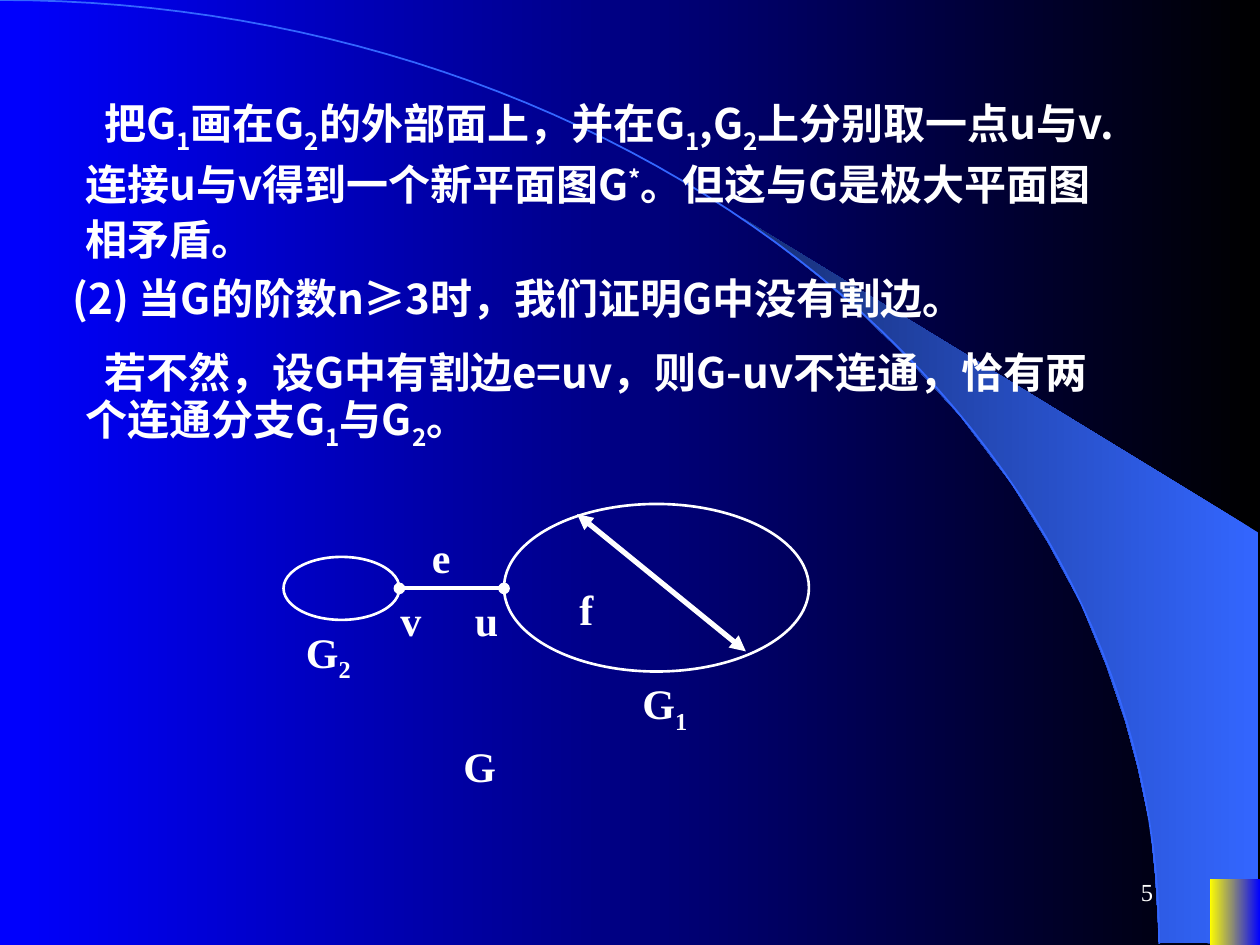
import math
from lxml import etree
from pptx import Presentation
from pptx.dml.color import RGBColor
from pptx.enum import shapes, text
from pptx.oxml.ns import qn
from pptx.util import Inches, Pt

WHITE = RGBColor(0xFF, 0xFF, 0xFF)
BLACK = RGBColor(0, 0, 0)
BLUE = RGBColor(0, 0, 0xFF)
YELLOW = RGBColor(0xFF, 0xFF, 0)
SKY = RGBColor(0x33, 0x66, 0xFF)
NAVY = RGBColor(0x17, 0x2F, 0x75)
BODY_FONT, LABEL_FONT = "Noto Sans CJK SC", "Times New Roman"
SUB, SUPER = -25000, 30000

# Content: each text is a list of (words, baseline shift)
PROOF = [  # left, top, height, runs
    (0.58, 0.75, 1.36, [
        ("把G", 0), ("1", SUB), ("画在G", 0), ("2", SUB),
        ("的外部面上，并在G", 0), ("1", SUB), (",G", 0), ("2", SUB),
        ("上分别取一点u与v.连接u与v得到一个新平面图G", 0), ("*", SUPER),
        ("。但这与G是极大平面图相矛盾。", 0)]),
    (0.33, 2.08, 0.5, [("(2) 当G的阶数n≥3时，我们证明G中没有割边。", 0)]),
    (0.58, 2.67, 0.96, [
        ("若不然，设G中有割边e=uv，则G-uv不连通，恰有两个连通分支G", 0),
        ("1", SUB), ("与G", 0), ("2", SUB), ("。", 0)]),
]
COMPONENTS = [(2.25, 4.42, 0.92, 0.5), (4, 4, 2.42, 1.33)]
EDGES = [  # from, to, width, end mark
    ((3.17, 4.67), (4, 4.67), 2.25, "oval"),
    ((4.58, 4.08), (5.92, 5.17), 3, "triangle"),
]
LABELS = [  # left, top, width, runs
    (3.67, 4.67, 0.52, [("u", 0)]),
    (3.08, 4.67, 0.52, [("v", 0)]),
    (3.33, 4.17, 0.52, [("e", 0)]),
    (4.5, 4.58, 0.52, [("f", 0)]),
    (5, 5.33, 0.67, [("G", 0), ("1", SUB)]),
    (2.33, 4.92, 0.67, [("G", 0), ("2", SUB)]),
    (3.58, 5.83, 0.67, [("G", 0)]),
]
CRESCENT = [
    (9.2, 7.48), (9.99, 7.49), (9.99, 4.23), (5.89, 1.73), (6.24, 1.99),
    (6.53, 2.22), (6.85, 2.5), (7.16, 2.8), (7.62, 3.3), (8.03, 3.84),
    (8.32, 4.31), (8.58, 4.79), (8.78, 5.28), (8.93, 5.72), (9.03, 6.09),
    (9.13, 6.56), (9.17, 6.96)]
ARC_WIDTH, ARC_HEIGHT, ARC_STEPS = 9.2, 7.49, 60

prs = Presentation()
prs.slide_width, prs.slide_height = Inches(10), Inches(7.5)
slide = prs.slides.add_slide(prs.slide_layouts[6])


def paint_gradient(fill, right, left):
    fill.gradient()
    fill.gradient_angle = 180
    for stop, color, position in zip(fill.gradient_stops, (right, left), (0, 1)):
        stop.color.rgb = color
        stop.position = position


def add_outline(points, close):
    (x, y), *rest = [(Inches(px), Inches(py)) for px, py in points]
    builder = slide.shapes.build_freeform(x, y)
    builder.add_line_segments(rest, close=close)
    outline = builder.convert_to_shape()
    outline.shadow.inherit = False
    return outline


def add_words(left, top, width, height, runs, font, size=24, bold=True):
    box = slide.shapes.add_textbox(*map(Inches, (left, top, width, height)))
    box.text_frame.word_wrap = True
    paragraph = box.text_frame.paragraphs[0]
    for words, baseline in runs:
        run = paragraph.add_run()
        run.text = words
        run.font.size, run.font.bold, run.font.name = Pt(size), bold, font
        run.font.color.rgb = WHITE
        props = run.font._element
        etree.SubElement(props, qn("a:ea")).set("typeface", font)
        if baseline:
            props.set("baseline", str(baseline))
    return box


# Background with crescent, arc and corner block
paint_gradient(slide.background.fill, BLACK, BLUE)
crescent = add_outline(CRESCENT, True)
paint_gradient(crescent.fill, SKY, NAVY)
crescent.line.fill.background()

angles = [math.pi / 2 * i / ARC_STEPS for i in range(ARC_STEPS + 1)]
arc = add_outline([(ARC_WIDTH * math.sin(a), ARC_HEIGHT * (1 - math.cos(a)))
                   for a in angles], False)
arc.fill.background()
arc.line.color.rgb, arc.line.width = SKY, Pt(1)

corner = slide.shapes.add_shape(shapes.MSO_SHAPE.RECTANGLE, Inches(9.6),
                                Inches(6.98), Inches(0.4), Inches(0.52))
corner.shadow.inherit = False
paint_gradient(corner.fill, BLUE, YELLOW)
corner.line.fill.background()

# Proof text with indented first lines
for left, top, height, runs in PROOF:
    proof = add_words(left, top, 8.42, height, runs, BODY_FONT)
    paragraph = proof.text_frame.paragraphs[0]
    paragraph.line_spacing = Pt(31)
    paragraph._p.get_or_add_pPr().set("indent", str(Inches(0.15)))

# Graph: two components, the cut edge and the double arrow
for bounds in COMPONENTS:
    component = slide.shapes.add_shape(shapes.MSO_SHAPE.OVAL, *map(Inches, bounds))
    component.shadow.inherit = False
    component.fill.background()
    component.line.color.rgb, component.line.width = WHITE, Pt(1.5)

for start, end, width, mark in EDGES:
    edge = slide.shapes.add_connector(shapes.MSO_CONNECTOR.STRAIGHT,
                                      *map(Inches, start + end))
    edge.line.color.rgb, edge.line.width = WHITE, Pt(width)
    for tag in ("a:headEnd", "a:tailEnd"):
        etree.SubElement(edge.line._get_or_add_ln(), qn(tag)).set("type", mark)
    etree.SubElement(edge._element.spPr, qn("a:effectLst"))

for left, top, width, runs in LABELS:
    add_words(left, top, width, 0.56 if len(runs) > 1 else 0.5, runs, LABEL_FONT)

# Page number
page = add_words(7.17, 6.83, 2.08, 0.5, [("5", 0)], LABEL_FONT, 14, False)
page.text_frame.vertical_anchor = text.MSO_ANCHOR.MIDDLE
page.text_frame.paragraphs[0].alignment = text.PP_ALIGN.RIGHT

prs.save("out.pptx")
